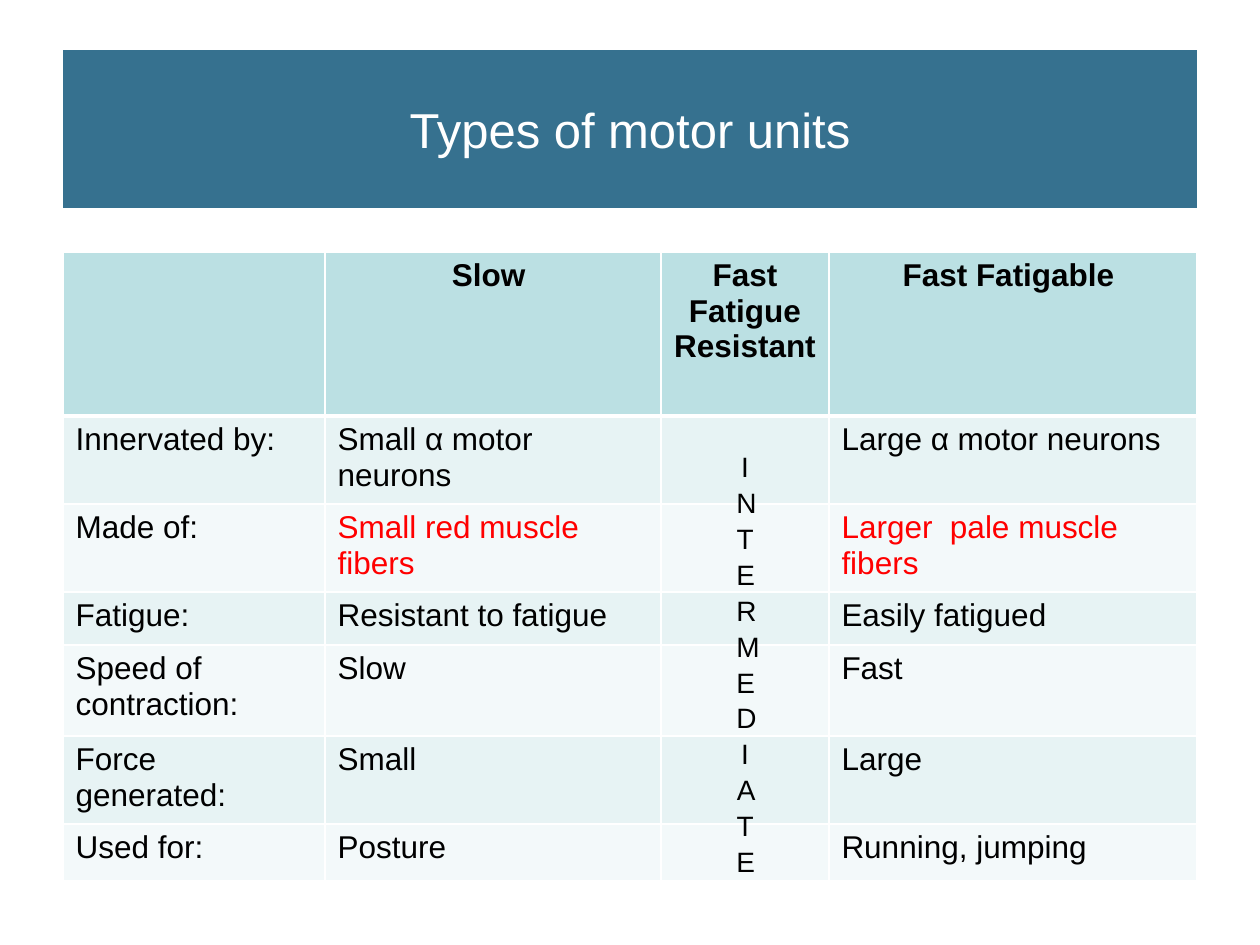
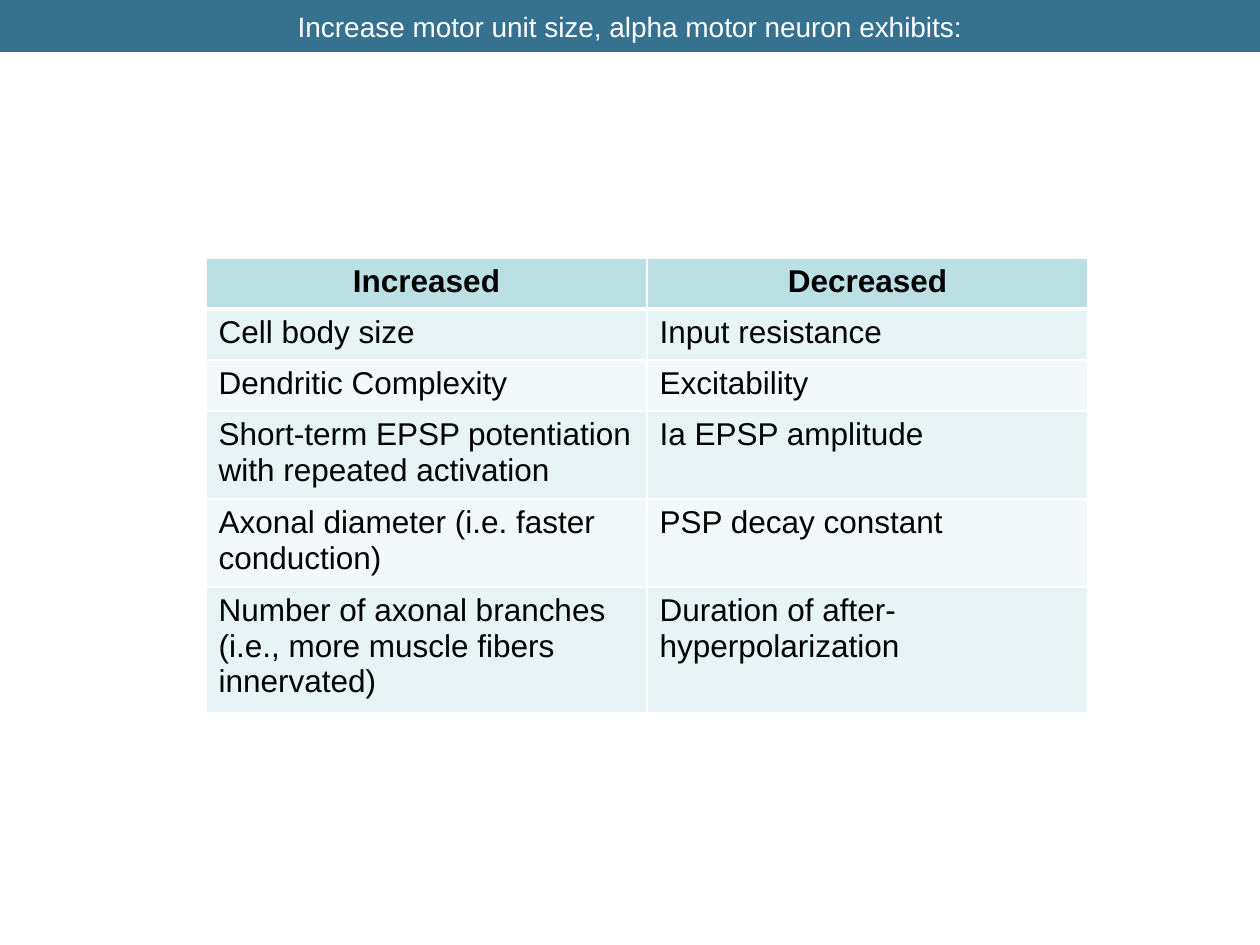
"""Build two slides on motor unit types and the effects of motor unit size."""
import dataclasses

import lxml.etree
import pptx
import pptx.dml.color
import pptx.enum.text
import pptx.oxml.ns
import pptx.util

EMU_PER_PX = pptx.util.Inches(1) / 126


@dataclasses.dataclass(frozen=True)
class Theme:
    font: str = "Arial"
    title_band: str = "36718F"
    header_fill: str = "BBE0E3"
    row_fills: tuple = ("E7F3F4", "F3F9FA")
    white: str = "FFFFFF"
    black: str = "000000"
    red: str = "FF0000"
    title_size: int = 28
    small_size: int = 16
    table_size: int = 18
    thin_rule: int = 1
    header_rule: int = 3


theme = Theme()


def px(*lengths):
    return [round(length * EMU_PER_PX) for length in lengths]


def style(frame, size, color, centred=False, bold=False):
    for para in frame.paragraphs:
        para.font.name = theme.font
        para.font.size = pptx.util.Pt(size)
        para.font.bold = bold
        para.font.color.rgb = pptx.dml.color.RGBColor.from_string(color)
        align = pptx.enum.text.PP_ALIGN
        para.alignment = align.CENTER if centred else align.LEFT


slides = [
    {
        "title": "Types of motor units",
        "title_size": theme.title_size,
        "band": (63, 50, 1134, 158),
        "corner": (63, 252),
        "columns": (262, 336, 168, 368),
        "heights": (164, 88, 88, 53, 91, 88, 57),
        "rows": [
            ("", "Slow ", "Fast Fatigue Resistant", "Fast Fatigable "),
            ("Innervated by:", "Small α motor neurons", "", "Large α motor neurons"),
            ("Made of:", "Small red muscle fibers", "", "Larger  pale muscle fibers"),
            ("Fatigue:", "Resistant to fatigue", "", "Easily fatigued"),
            ("Speed of contraction:", "Slow", "", "Fast"),
            ("Force generated:", "Small", "", "Large"),
            ("Used for:", "Posture", "", "Running, jumping"),
        ],
        "red_cells": {(2, 1), (2, 3)},
        "column_label": "INTERMEDIATE",
    },
    {
        "title": "Increase motor unit size, alpha motor neuron exhibits:",
        "title_size": theme.small_size,
        "band": (0, 0, 1260, 52),
        "corner": (206, 258),
        "columns": (441, 441),
        "heights": (51, 51, 51, 88, 88, 126),
        "rows": [
            ("Increased", "Decreased"),
            ("Cell body size", "Input resistance"),
            ("Dendritic Complexity", "Excitability"),
            ("Short-term EPSP potentiation with repeated activation", "Ia EPSP amplitude"),
            ("Axonal diameter (i.e. faster conduction)", "PSP decay constant"),
            ("Number of axonal branches (i.e., more muscle fibers innervated)",
             "Duration of after-hyperpolarization"),
        ],
        "red_cells": set(),
        "column_label": None,
    },
]

deck = pptx.Presentation()
deck.slide_width, deck.slide_height = px(1260, 945)

for content in slides:
    page = deck.slides.add_slide(deck.slide_layouts[5])

    title = page.shapes.title
    title.left, title.top, title.width, title.height = px(*content["band"])
    title.fill.solid()
    title.fill.fore_color.rgb = pptx.dml.color.RGBColor.from_string(theme.title_band)
    title.text_frame.text = content["title"]
    title.text_frame.auto_size = pptx.enum.text.MSO_AUTO_SIZE.NONE
    title.text_frame.vertical_anchor = pptx.enum.text.MSO_ANCHOR.MIDDLE
    style(title.text_frame, content["title_size"], theme.white, centred=True)

    columns, heights, rows = content["columns"], content["heights"], content["rows"]
    table = page.shapes.add_table(
        len(rows), len(columns), *px(*content["corner"], sum(columns), sum(heights))
    ).table
    for column, width in zip(table.columns, px(*columns)):
        column.width = width
    for row, height in zip(table.rows, px(*heights)):
        row.height = height

    for row_index, texts in enumerate(rows):
        is_header = row_index == 0
        fill = theme.header_fill if is_header else theme.row_fills[(row_index - 1) % 2]
        rules = {
            "lnL": theme.thin_rule,
            "lnR": theme.thin_rule,
            "lnT": theme.header_rule if row_index == 1 else theme.thin_rule,
            "lnB": theme.header_rule if is_header else theme.thin_rule,
        }
        for column_index, text in enumerate(texts):
            cell = table.cell(row_index, column_index)
            cell.text = text
            cell.fill.solid()
            cell.fill.fore_color.rgb = pptx.dml.color.RGBColor.from_string(fill)
            is_red = (row_index, column_index) in content["red_cells"]
            color = theme.red if is_red else theme.black
            style(cell.text_frame, theme.table_size, color, is_header, is_header)
            properties = cell._tc.get_or_add_tcPr()
            for position, (side, points) in enumerate(rules.items()):
                line = lxml.etree.Element(
                    pptx.oxml.ns.qn(f"a:{side}"), w=str(pptx.util.Pt(points))
                )
                solid = lxml.etree.SubElement(line, pptx.oxml.ns.qn("a:solidFill"))
                lxml.etree.SubElement(solid, pptx.oxml.ns.qn("a:srgbClr"), val=theme.white)
                properties.insert(position, line)

    if content["column_label"]:
        box = page.shapes.add_textbox(*px(724, 441, 42, 420))
        box.text_frame.word_wrap = True
        box.text_frame.text = content["column_label"]
        style(box.text_frame, theme.small_size, theme.black, centred=True)
        box.text_frame.paragraphs[0].line_spacing = 1.07

deck.save("out.pptx")
